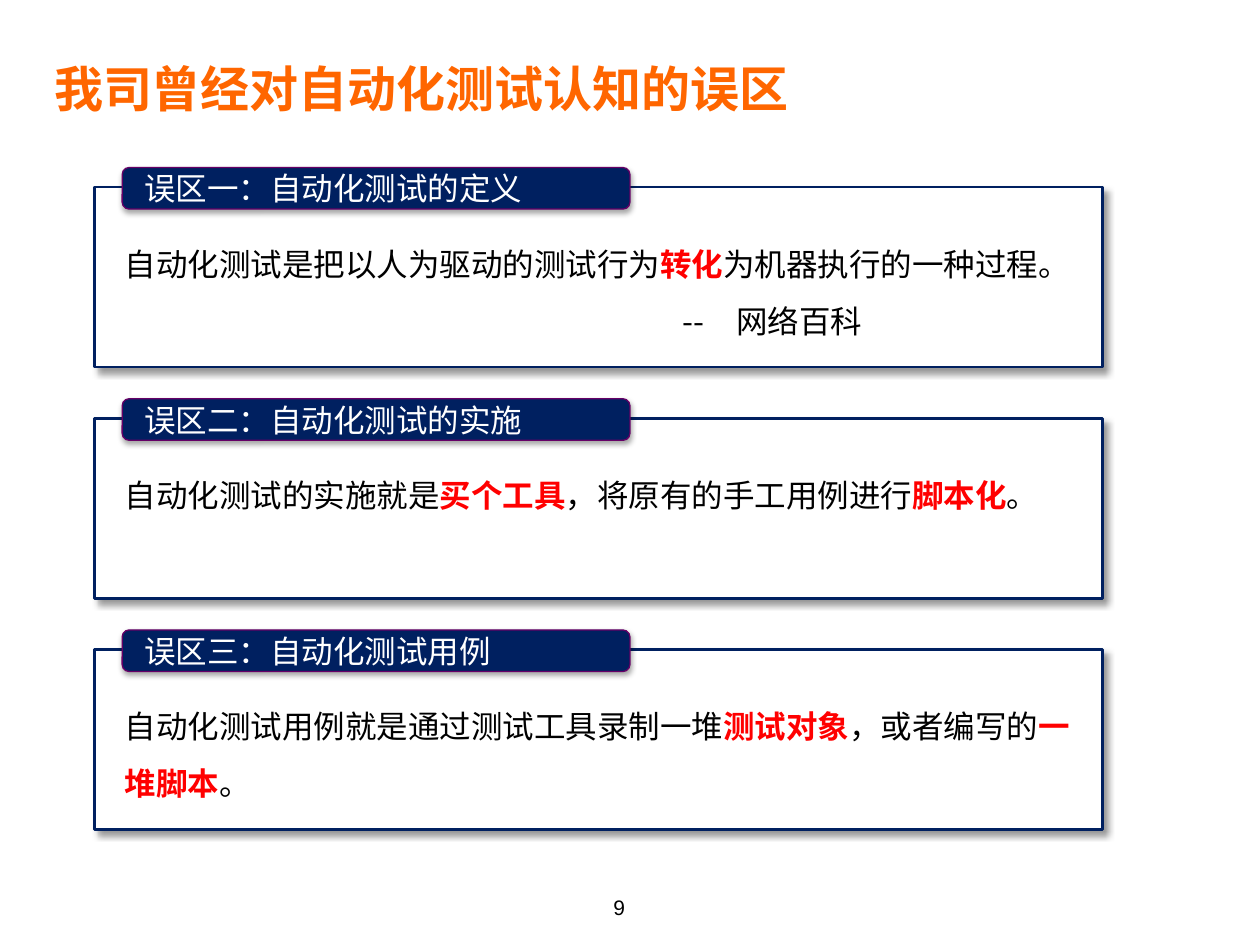
from lxml import etree
from pptx import Presentation
from pptx import util as u
from pptx.dml.color import RGBColor
from pptx.enum import shapes, text
from pptx.oxml.ns import qn

COLORS = {"title": "FF6600", "navy": "002060", "purple": "660066",
          "red": "FF0000", "black": "000000", "white": "FFFFFF"}
LATIN, CJK = "Arial", "Noto Sans CJK SC"
FIRST_TOP, ROW_PITCH = 1.33, 1.835
SOURCE_INDENT = 4.43

# Each body paragraph is a list of runs; * marks an emphasised run.
MYTHS = [
    ("误区一：自动化测试的定义",
     [["自动化测试是把以人为驱动的测试行为", "*转化", "为机器执行的一种过程。"]],
     "--　网络百科"),
    ("误区二：自动化测试的实施",
     [["自动化测试的实施就是", "*买个工具", "，将原有的手工用例进行", "*脚本化", "。"]],
     None),
    ("误区三：自动化测试用例",
     [["自动化测试用例就是通过测试工具录制一堆", "*测试对象", "，或者编写的",
       "*一堆脚本", "。"]],
     None),
]


def color(name):
    return RGBColor.from_string(COLORS[name])


def box(left, top, width, height):
    return [u.Inches(value) for value in (left, top, width, height)]


def add_run(paragraph, words, size, color_name, font=CJK, bold=False):
    run = paragraph.add_run()
    run.text = words
    run.font.size = u.Pt(size)
    run.font.name = font
    run.font.bold = bold
    run.font.color.rgb = color(color_name)
    east_asian = etree.Element(qn("a:ea"), typeface=CJK)
    run.font._element.find(qn("a:latin")).addnext(east_asian)


def add_shadow(shape, alpha, blur, distance, angle):
    shape.shadow.inherit = False
    effects = shape._element.spPr.find(qn("a:effectLst"))
    shadow = etree.SubElement(
        effects, qn("a:outerShdw"), blurRad=str(u.Pt(blur)), dist=str(u.Pt(distance)),
        dir=str(angle * 60000), algn="tl", rotWithShape="0")
    black = etree.SubElement(shadow, qn("a:srgbClr"), val=COLORS["black"])
    etree.SubElement(black, qn("a:alpha"), val=str(alpha * 1000))


def add_panel(group, kind, place, fill, line, line_width):
    shape = group.shapes.add_shape(kind, *box(*place))
    shape.fill.solid()
    shape.fill.fore_color.rgb = color(fill)
    shape.line.color.rgb = color(line)
    shape.line.width = u.Pt(line_width)
    return shape


def add_body(group, top, paragraphs, source):
    frame = group.shapes.add_textbox(*box(0.89, top, 7.77, 1.08)).text_frame
    frame.word_wrap = True
    lines = paragraphs + ([[source]] if source else [])
    for index, runs in enumerate(lines):
        paragraph = frame.paragraphs[0] if index == 0 else frame.add_paragraph()
        paragraph.line_spacing = 1.5
        for words in runs:
            strong = words.startswith("*")
            add_run(paragraph, words.lstrip("*"), 18,
                    "red" if strong else "black", bold=strong)
    if source:
        paragraph._p.get_or_add_pPr().set("marL", str(u.Inches(SOURCE_INDENT)))


def add_tag(group, top, words):
    tag = add_panel(group, shapes.MSO_SHAPE.ROUNDED_RECTANGLE,
                    (0.97, top, 4.03, 0.33), "navy", "purple", 0.75)
    add_shadow(tag, 35, 3.1, 1.8, 90)
    frame = tag.text_frame
    frame.vertical_anchor = text.MSO_ANCHOR.MIDDLE
    frame.margin_left, frame.margin_right = u.Inches(0.16), u.Inches(0.04)
    paragraph = frame.paragraphs[0]
    paragraph.alignment = text.PP_ALIGN.LEFT
    add_run(paragraph, words, 18, "white")


def add_myth(slide, row, heading, paragraphs, source):
    """One framed card with a heading tag over its top edge."""
    top = FIRST_TOP + row * ROW_PITCH
    group = slide.shapes.add_group_shape()
    frame = add_panel(group, shapes.MSO_SHAPE.RECTANGLE,
                      (0.75, top + 0.155, 8, 1.43), "white", "navy", 1.5)
    add_shadow(frame, 40, 4, 3, 45)
    add_body(group, top + 0.415, paragraphs, source)
    add_tag(group, top, heading)


def set_title(slide, words):
    title = slide.shapes.title
    title.left, title.top, title.width, title.height = box(0.33, 0.39, 9.42, 0.61)
    frame = title.text_frame
    frame.auto_size = text.MSO_AUTO_SIZE.NONE
    frame.vertical_anchor = text.MSO_ANCHOR.MIDDLE
    paragraph = frame.paragraphs[0]
    paragraph.alignment = text.PP_ALIGN.LEFT
    add_run(paragraph, words, 28, "title", LATIN, bold=True)


def add_page_number(slide, number):
    frame = slide.shapes.add_textbox(*box(3.75, 6.83, 2.33, 0.52)).text_frame
    frame.word_wrap = True
    frame.vertical_anchor = text.MSO_ANCHOR.BOTTOM
    paragraph = frame.paragraphs[0]
    paragraph.alignment = text.PP_ALIGN.CENTER
    add_run(paragraph, number, 12, "black", LATIN)


def main():
    presentation = Presentation()
    presentation.slide_width, presentation.slide_height = u.Inches(10), u.Inches(7.5)
    slide = presentation.slides.add_slide(presentation.slide_layouts[5])
    set_title(slide, "我司曾经对自动化测试认知的误区")
    add_page_number(slide, "9")
    for row, (heading, paragraphs, source) in enumerate(MYTHS):
        add_myth(slide, row, heading, paragraphs, source)
    presentation.save("out.pptx")


if __name__ == "__main__":
    main()
